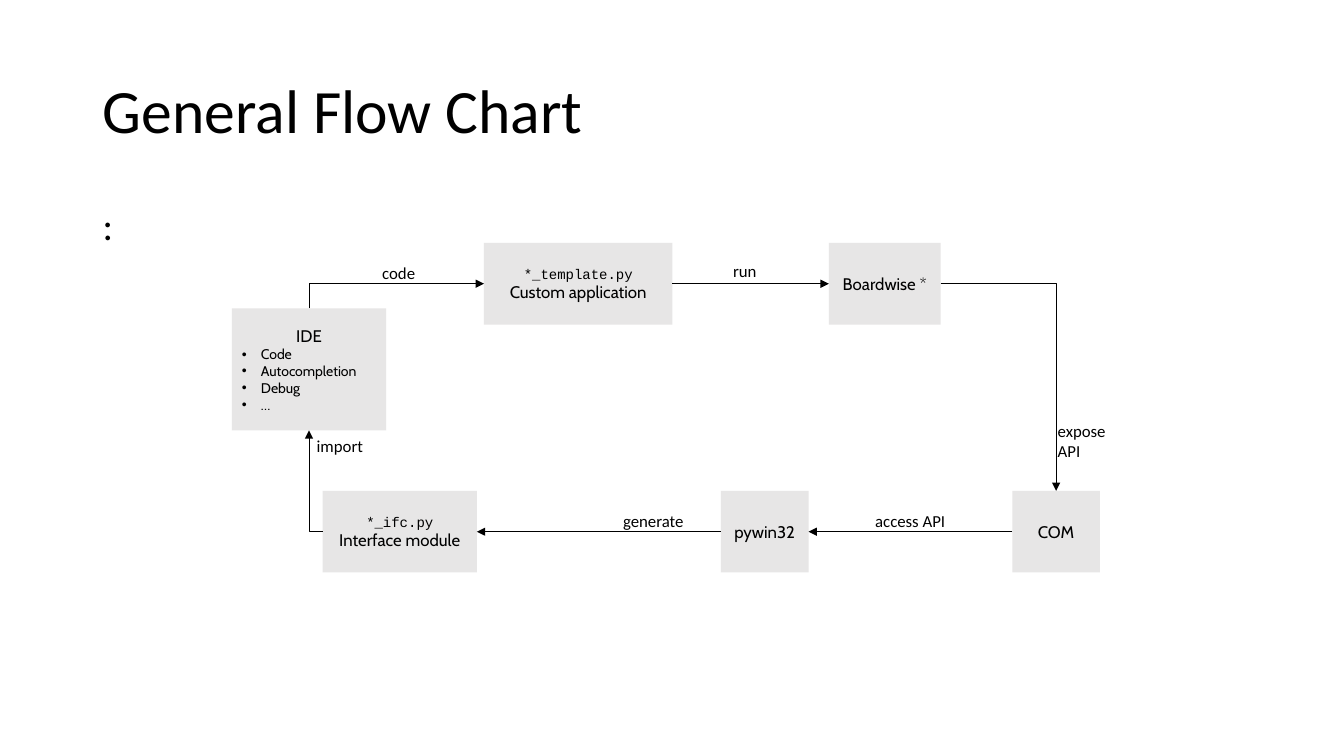
from lxml import etree
from pptx import Presentation
from pptx.dml.color import RGBColor
from pptx.enum.shapes import MSO_CONNECTOR as LINK, MSO_SHAPE as SHAPE
from pptx.enum.text import MSO_ANCHOR as ANCHOR, PP_ALIGN as ALIGN
from pptx.oxml.ns import qn
from pptx.util import Inches, Pt

BLACK = RGBColor(0x00, 0x00, 0x00)
GREY = RGBColor(0xE7, 0xE6, 0xE6)
TOP, LEFT, BOTTOM, RIGHT = range(4)  # connection sites of a rectangle


def add_run(paragraph, text, size, font):
    run = paragraph.add_run()
    run.text = text
    run.font.size = Pt(size)
    run.font.name = font
    run.font.color.rgb = BLACK


def set_frame(frame, margin_x, margin_y, anchor, wrap):
    frame.margin_left = frame.margin_right = Inches(margin_x)
    frame.margin_top = frame.margin_bottom = Inches(margin_y)
    frame.vertical_anchor = anchor
    frame.word_wrap = wrap


prs = Presentation()
prs.slide_width, prs.slide_height = Inches(13.33), Inches(7.5)
slide = prs.slides.add_slide(prs.slide_layouts[5])
shapes = slide.shapes

# Title and body text
title = shapes.title
title.left, title.top = Inches(0.92), Inches(0.4)
title.width, title.height = Inches(11.5), Inches(1.45)
body = shapes.add_textbox(Inches(0.92), Inches(2), Inches(11.5), Inches(4.76))
for holder, text, size, anchor in [
    (title, "General Flow Chart", 44, ANCHOR.MIDDLE),
    (body, ":", 28, ANCHOR.TOP),
]:
    set_frame(holder.text_frame, 0.1, 0.05, anchor, True)
    paragraph = holder.text_frame.paragraphs[0]
    paragraph.alignment = ALIGN.LEFT
    paragraph.line_spacing = 0.9
    add_run(paragraph, text, size, "Calibri")

# Boxes: left, top, width, height, lines of (text, size, font, bulleted)
UPPER, LOWER, BOX_H = 2.41, 4.87, 0.81
stages = {
    "tool": (8.22, UPPER, 1.11, BOX_H, [("Boardwise *", 12, "Cabin", False)]),
    "pywin32": (7.15, LOWER, 0.87, BOX_H, [("pywin32", 12, "Cabin", False)]),
    "com": (10.04, LOWER, 0.87, BOX_H, [("COM", 12, "Cabin", False)]),
    "interface": (3.2, LOWER, 1.53, BOX_H, [
        ("*_ifc.py", 10, "Courier New", False),
        ("Interface module", 12, "Cabin", False)]),
    "application": (4.8, UPPER, 1.87, BOX_H, [
        ("*_template.py", 10, "Courier New", False),
        ("Custom application", 12, "Cabin", False)]),
    "ide": (2.3, 3.06, 1.53, 1.21, [("IDE", 12, "Cabin", False)] + [
        (feature, 10, "Cabin", True)
        for feature in ("Code", "Autocompletion", "Debug", "…")]),
}
boxes = {}
for key, (left, top, width, height, lines) in stages.items():
    box = shapes.add_shape(SHAPE.RECTANGLE, Inches(left), Inches(top),
                           Inches(width), Inches(height))
    box.shadow.inherit = False
    box.fill.solid()
    box.fill.fore_color.rgb = GREY
    box.line.fill.background()
    frame = box.text_frame
    set_frame(frame, 0.1, 0.1, ANCHOR.MIDDLE, True)
    for i, (text, size, font, bulleted) in enumerate(lines):
        paragraph = frame.add_paragraph() if i else frame.paragraphs[0]
        paragraph.alignment = ALIGN.LEFT if bulleted else ALIGN.CENTER
        if bulleted:
            props = paragraph._p.get_or_add_pPr()
            props.set("marL", str(Inches(0.19)))
            props.set("indent", str(-Inches(0.19)))
            etree.SubElement(props, qn("a:buFont")).set("typeface", "Arial")
            etree.SubElement(props, qn("a:buChar")).set("char", "•")
        add_run(paragraph, text, size, font)
    boxes[key] = box

# Arrows between the boxes
for source, start, target, end in [
    ("tool", RIGHT, "com", TOP),
    ("com", LEFT, "pywin32", RIGHT),
    ("pywin32", LEFT, "interface", RIGHT),
    ("interface", LEFT, "ide", BOTTOM),
    ("ide", TOP, "application", LEFT),
    ("application", RIGHT, "tool", LEFT),
]:
    bent = start % 2 != end % 2
    arrow = shapes.add_connector(LINK.ELBOW if bent else LINK.STRAIGHT, 0, 0, 0, 0)
    arrow.begin_connect(boxes[source], start)
    arrow.end_connect(boxes[target], end)
    arrow.line.color.rgb = BLACK
    arrow.line.width = Pt(0.5)
    props = arrow._element.spPr
    etree.SubElement(props.find(qn("a:ln")), qn("a:tailEnd")).set("type", "triangle")
    etree.SubElement(props, qn("a:effectLst"))
    if bent:
        props.find(qn("a:prstGeom")).set("prst", "bentConnector2")
    if start == TOP:
        # A path that leaves upwards is stored turned by 90 degrees
        mid_x = (arrow.begin_x + arrow.end_x) // 2
        mid_y = (arrow.begin_y + arrow.end_y) // 2
        half_w, half_h = arrow.width // 2, arrow.height // 2
        arrow.begin_x, arrow.begin_y = mid_x + half_h, mid_y + half_w
        arrow.end_x, arrow.end_y = mid_x - half_h, mid_y - half_w
        props.find(qn("a:xfrm")).set("rot", str(90 * 60000))

# Arrow labels
for left, top, width, lines in [
    (10.49, 4.17, 0.58, ["expose", "API"]),
    (8.68, 5.07, 0.81, ["access API"]),
    (7.27, 2.59, 0.25, ["run"]),
    (6.18, 5.07, 0.66, ["generate"]),
    (3.14, 4.32, 0.48, ["import"]),
    (3.79, 2.61, 0.35, ["code"]),
]:
    label = shapes.add_textbox(Inches(left), Inches(top), Inches(width),
                               Inches(0.2 * len(lines)))
    frame = label.text_frame
    set_frame(frame, 0, 0, ANCHOR.TOP, False)
    for i, text in enumerate(lines):
        paragraph = frame.add_paragraph() if i else frame.paragraphs[0]
        add_run(paragraph, text, 12, "Calibri")

prs.save("out.pptx")
